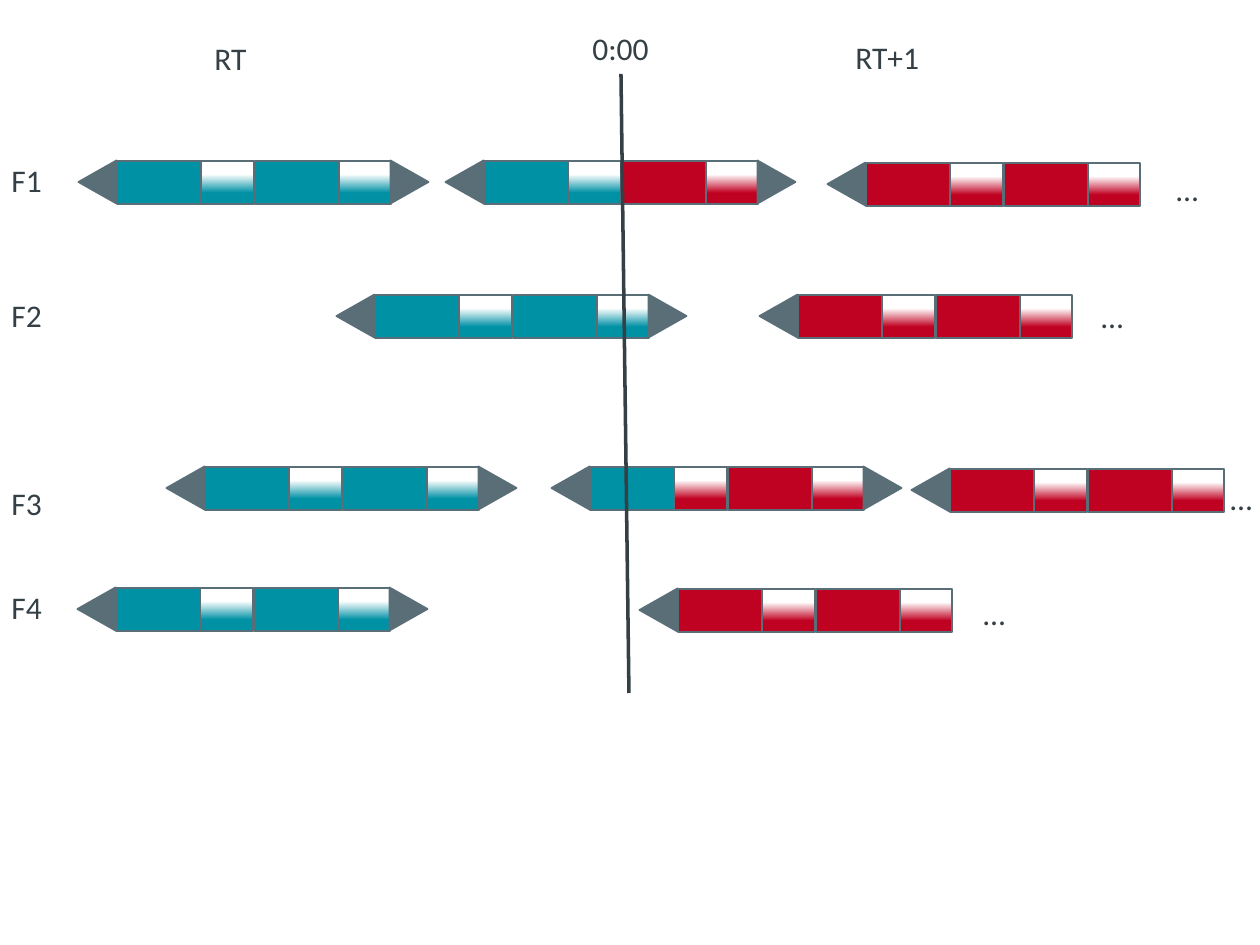
from lxml.etree import SubElement
from pptx import Presentation
from pptx.dml.color import RGBColor
from pptx.enum.shapes import MSO_CONNECTOR, MSO_SHAPE
from pptx.enum.text import MSO_AUTO_SIZE
from pptx.oxml.ns import qn
from pptx.util import Emu, Pt

TEAL, RED, GREY, DARK, WHITE = "0091A5", "C00222", "5A6E78", "344046", "FFFFFF"


def px(n):
    return Emu(round(n * 914400 / 126))


def rgb(value):
    return RGBColor.from_string(value)


prs = Presentation()
prs.slide_width, prs.slide_height = px(1260), px(945)
s = prs.slides.add_slide(prs.slide_layouts[6])

trains = [
    (117, 161, [TEAL] * 4, True),
    (484, 161, [TEAL, TEAL, RED, RED], True),
    (866, 163, [RED] * 4, False),
    (375, 295, [TEAL] * 4, True),
    (798, 295, [RED] * 4, False),
    (205, 467, [TEAL] * 4, True),
    (590, 467, [TEAL, RED, RED, RED], True),
    (950, 469, [RED] * 4, False),
    (116, 588, [TEAL] * 4, True),
    (678, 589, [RED] * 4, False),
]
RECT, TRIANGLE = MSO_SHAPE.RECTANGLE, MSO_SHAPE.ISOSCELES_TRIANGLE
for x, y, colors, has_tail in trains:
    first, first_fade, second, second_fade = colors
    parts = [
        (RECT, 0, 0, 84, 43, 0, first, False),
        (TRIANGLE, -41, 2, 43, 38, 270, GREY, False),
        (RECT, 84, 0, 53, 43, 0, first_fade, True),
        (RECT, 221, 0, 53, 43, 0, second_fade, True),
        (RECT, 138, 0, 84, 43, 0, second, False),
    ]
    if has_tail:
        parts.append((TRIANGLE, 271, 2, 43, 38, 90, GREY, False))
    for kind, dx, dy, w, h, turn, color, fades in parts:
        sp = s.shapes.add_shape(kind, px(x + dx), px(y + dy), px(w), px(h))
        sp.rotation = turn
        sp.shadow.inherit = False
        sp.line.color.rgb = rgb(GREY)
        sp.line.width = Pt(1)
        if fades:
            sp.fill.gradient()
            sp.fill.gradient_angle = 270
            stops = zip(sp.fill.gradient_stops, (0.31, 0.74), (WHITE, color))
            for stop, position, stop_color in stops:
                stop.position = position
                stop.color.rgb = rgb(stop_color)
        else:
            sp.fill.solid()
            sp.fill.fore_color.rgb = rgb(color)

midnight = s.shapes.add_connector(
    MSO_CONNECTOR.STRAIGHT, px(621), px(74), px(629), px(693))
midnight.line.color.rgb = rgb(DARK)
midnight.line.width = Pt(2)
SubElement(midnight._element.spPr, qn("a:effectLst"))

labels = [
    ("F1", -1, 155, 57),
    ("F2", -1, 290, 57),
    ("F3", -1, 478, 57),
    ("F4", -1, 582, 57),
    ("0:00", 580, 23, 82),
    ("RT", 202, 33, 58),
    ("RT+1", 843, 32, 89),
    ("…", 1164, 164, 48),
    ("…", 1089, 291, 48),
    ("…", 1218, 473, 48),
    ("…", 971, 588, 48),
]
font_format = {"name": "Calibri", "size": Pt(18)}
for text, x, y, w in labels:
    tf = s.shapes.add_textbox(px(x), px(y), px(w), px(50)).text_frame
    tf.word_wrap = False
    tf.auto_size = MSO_AUTO_SIZE.SHAPE_TO_FIT_TEXT
    r = tf.paragraphs[0].add_run()
    r.text = text
    for name, value in font_format.items():
        setattr(r.font, name, value)
    r.font.color.rgb = rgb(DARK)

prs.save("out.pptx")
